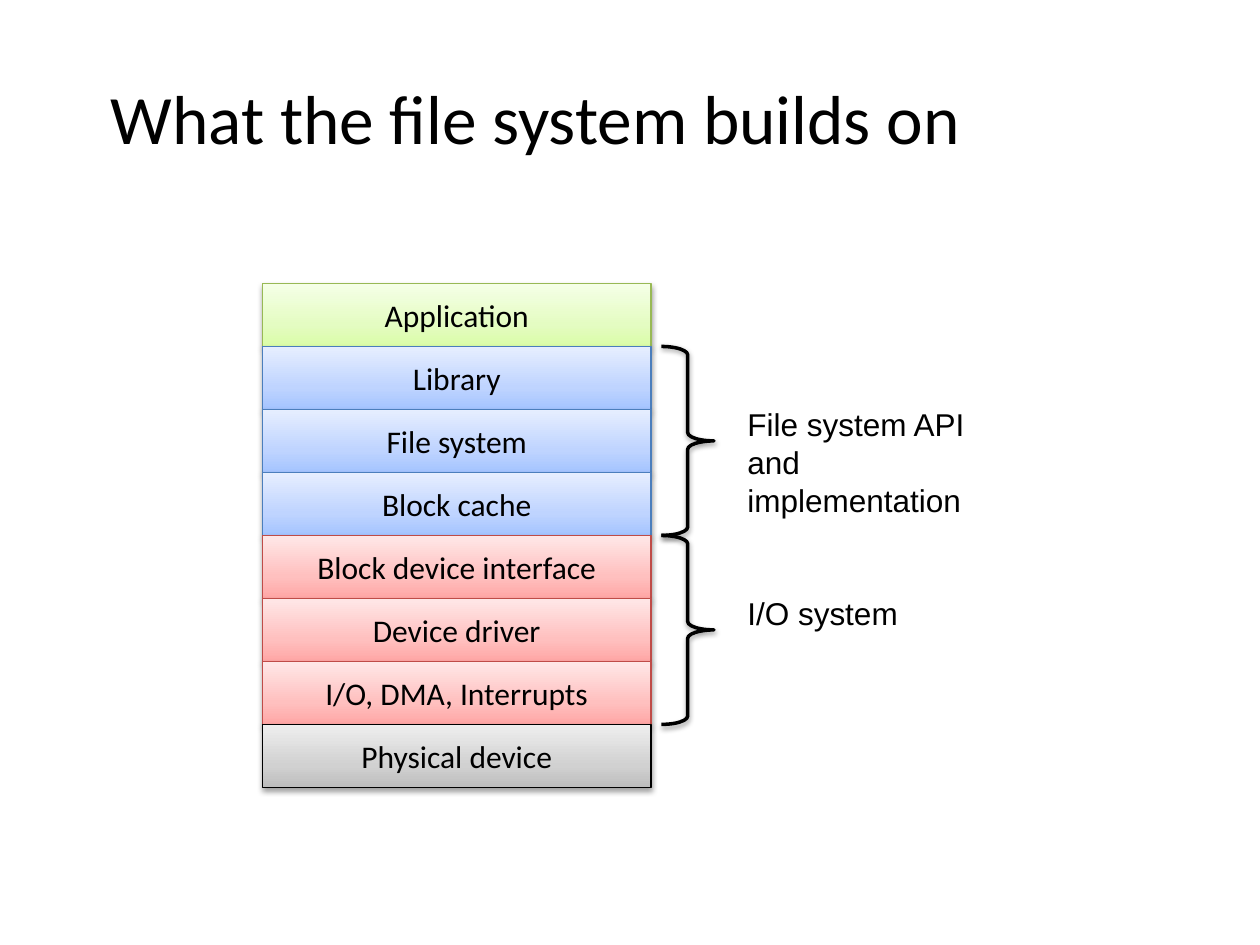
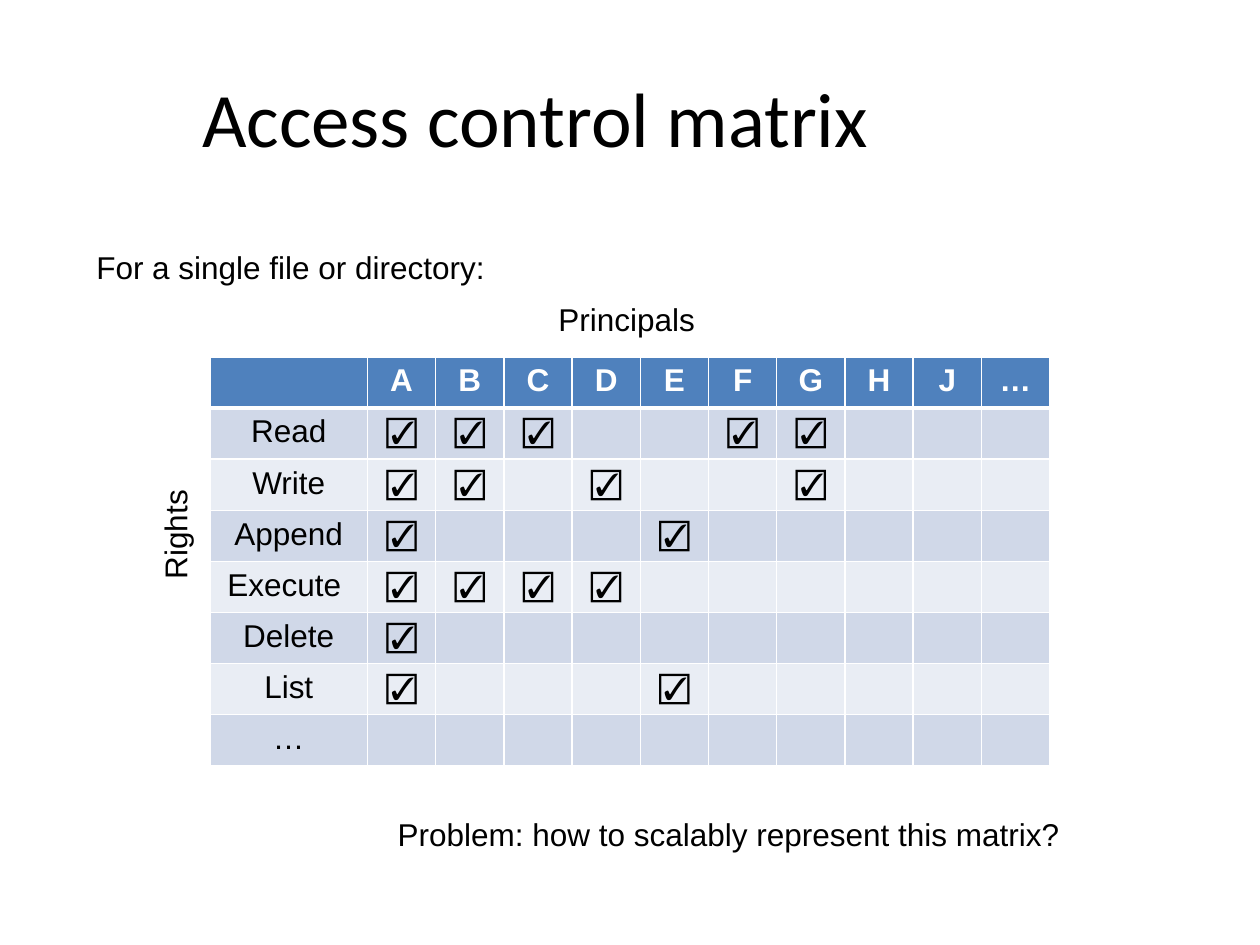
from copy import deepcopy
from dataclasses import dataclass

from lxml import etree
from pptx import Presentation
from pptx import util as u
from pptx.dml.color import RGBColor
from pptx.enum import shapes, text
from pptx.oxml.ns import qn

CENTER, LEFT = text.PP_ALIGN.CENTER, text.PP_ALIGN.LEFT


@dataclass(frozen=True)
class Theme:
    heading: str = "Calibri"
    body: str = "Arial"
    title_size: float = 44
    long_title_size: float = 39.6
    text_size: float = 18
    ink: str = "000000"
    paper: str = "FFFFFF"
    header: str = "4F81BD"
    bands: tuple = ("D0D8E8", "E9EDF4")
    # Layer colours: outline, then gradient from bottom to top
    green: tuple = ("98B955", "DAFDA7", "E4FCC2", "F5FFE7")
    blue: tuple = ("4B7EBC", "A4C4FF", "BFD4FF", "E6EEFF")
    red: tuple = ("BF4C48", "FFA6A5", "FFC0BF", "FFE7E7")
    grey: tuple = ("000000", "BDBDBD", "D1D1D1", "EEEEEE")
    gradient_positions: tuple = (0, 0.35, 1)


THEME = Theme()


def rgb(value):
    return RGBColor.from_string(value)


def write(frame, words, font=THEME.body, size=THEME.text_size,
          color=THEME.ink, bold=False, align=LEFT):
    paragraph = frame.paragraphs[0]
    paragraph.text = words
    paragraph.alignment = align
    for run in paragraph.runs:
        run.font.name, run.font.size, run.font.bold = font, u.Pt(size), bold
        run.font.color.rgb = rgb(color)


class Deck:
    """Places elements on a grid of 120 columns by 90 rows."""
    COLUMNS, ROWS = 120, 90

    def __init__(self, theme):
        self.theme = theme
        self.prs = Presentation()
        self.prs.slide_width, self.prs.slide_height = u.Inches(10), u.Inches(7.5)
        self.slide = None

    def x(self, columns):
        return round(self.prs.slide_width * columns / self.COLUMNS)

    def y(self, rows):
        return round(self.prs.slide_height * rows / self.ROWS)

    def area(self, left, top, width, height):
        return self.x(left), self.y(top), self.x(width), self.y(height)

    def new_slide(self, heading, size):
        self.slide = self.prs.slides.add_slide(self.prs.slide_layouts[5])
        title = self.slide.shapes.title
        title.left, title.top, title.width, title.height = self.area(6, 3.6, 90, 15)
        frame = title.text_frame
        frame.auto_size = text.MSO_AUTO_SIZE.NONE
        frame.vertical_anchor = text.MSO_ANCHOR.MIDDLE
        write(frame, heading, font=self.theme.heading, size=size, align=CENTER)

    def label(self, words, left, top, width, height=4.8, rotation=0):
        box = self.slide.shapes.add_textbox(*self.area(left, top, width, height))
        box.rotation = rotation
        box.text_frame.word_wrap = True
        box.text_frame.auto_size = text.MSO_AUTO_SIZE.SHAPE_TO_FIT_TEXT
        write(box.text_frame, words)

    def outlined(self, kind, area, color, width):
        shape = self.slide.shapes.add_shape(kind, *self.area(*area))
        shape.line.color.rgb, shape.line.width = rgb(color), u.Pt(width)
        self.cast_shadow(shape)
        return shape

    def cast_shadow(self, shape):
        shape.shadow.inherit = False
        effects = shape.element.spPr.find(qn("a:effectLst"))
        shadow = etree.SubElement(effects, qn("a:outerShdw"), blurRad="40000",
                                  dist="20000", dir="5400000", rotWithShape="0")
        color = etree.SubElement(shadow, qn("a:srgbClr"), val=self.theme.ink)
        etree.SubElement(color, qn("a:alpha"), val="38000")

    def layer(self, words, area, palette):
        outline, *shades = palette
        bar = self.outlined(shapes.MSO_SHAPE.RECTANGLE, area, outline, 0.75)
        bar.fill.gradient()
        bar.fill.gradient_angle = 90
        stops = bar.element.spPr.find(".//" + qn("a:gsLst"))
        stops.append(deepcopy(stops[0]))
        for stop, shade, position in zip(bar.fill.gradient_stops, shades,
                                         self.theme.gradient_positions):
            stop.color.rgb, stop.position = rgb(shade), position
        bar.text_frame.vertical_anchor = text.MSO_ANCHOR.MIDDLE
        write(bar.text_frame, words, font=self.theme.heading, align=CENTER)

    def brace(self, area):
        brace = self.outlined(shapes.MSO_SHAPE.RIGHT_BRACE, area, self.theme.ink, 2)
        brace.fill.background()
        brace.adjustments[0], brace.adjustments[1] = 0.16, 0.5

    def cell(self, cell, words, fill, top=1, bottom=1, **style):
        cell.fill.solid()
        cell.fill.fore_color.rgb = rgb(fill)
        if words:
            write(cell.text_frame, words, align=CENTER, **style)
        properties = cell._tc.get_or_add_tcPr()
        for place, (side, width) in enumerate(
                {"L": 1, "R": 1, "T": top, "B": bottom}.items()):
            border = etree.Element(qn("a:ln" + side), w=str(u.Pt(width)))
            paint = etree.SubElement(border, qn("a:solidFill"))
            etree.SubElement(paint, qn("a:srgbClr"), val=self.theme.paper)
            properties.insert(place, border)

    def matrix(self, rows, area, first_column):
        count = len(rows[0])
        table = self.slide.shapes.add_table(len(rows), count, *self.area(*area)).table
        other_column = (area[2] - first_column) / (count - 1)
        for index, column in enumerate(table.columns):
            column.width = self.x(other_column if index else first_column)
        for r, row in enumerate(rows):
            table.rows[r].height = self.y(area[3] / len(rows))
            if r == 0:
                look = dict(fill=self.theme.header, bottom=3,
                            color=self.theme.paper, bold=True)
            else:
                look = dict(fill=self.theme.bands[(r - 1) % 2], top=3 if r == 1 else 1)
            for c, words in enumerate(row):
                self.cell(table.cell(r, c), words, **look)


def file_system_slide(deck):
    theme = deck.theme
    deck.new_slide("What the file system builds on", theme.long_title_size)

    # Stack of layers
    stack = [
        ("Application", theme.green),
        ("Library", theme.blue),
        ("File system", theme.blue),
        ("Block cache", theme.blue),
        ("Block device interface", theme.red),
        ("Device driver", theme.red),
        ("I/O, DMA, Interrupts", theme.red),
        ("Physical device", theme.grey),
    ]
    top, step = 27, 6
    for level, (words, palette) in enumerate(stack):
        deck.layer(words, (25, top + level * step, 37, step), palette)

    # Braces over three layers each, with their labels
    groups = [("File system API\nand implementation", 1, 27.5, 8.5),
              ("I/O system", 4, 17, 4.8)]
    for words, first_level, width, height in groups:
        group_top = top + first_level * step
        deck.brace((63, group_top, 5, 3 * step))
        deck.label(words, 70, group_top + 5, width, height)


def access_control_slide(deck):
    deck.new_slide("Access control matrix", deck.theme.title_size)

    # Rights granted to each principal
    principals = "ABCDEFGHJ…"
    rights = {"Read": "ABCFG", "Write": "ABDG", "Append": "AE",
              "Execute ": "ABCD", "Delete": "A", "List": "AE", "…": ""}
    rows = [["", *principals]]
    for right, holders in rights.items():
        rows.append([right, *("☑" if p in holders else "" for p in principals)])
    deck.matrix(rows, (20, 34, 80, 38.88), first_column=15)

    # Axis names and remarks
    deck.label("Principals", 52, 28, 17)
    deck.label("Rights", 10.7, 48, 11.9, rotation=270)
    deck.label("For a single file or directory:", 8, 23, 43.4)
    deck.label("Problem: how to scalably represent this matrix?", 36.7, 77, 71.6)


def main():
    deck = Deck(THEME)
    file_system_slide(deck)
    access_control_slide(deck)
    deck.prs.save("out.pptx")


if __name__ == "__main__":
    main()
